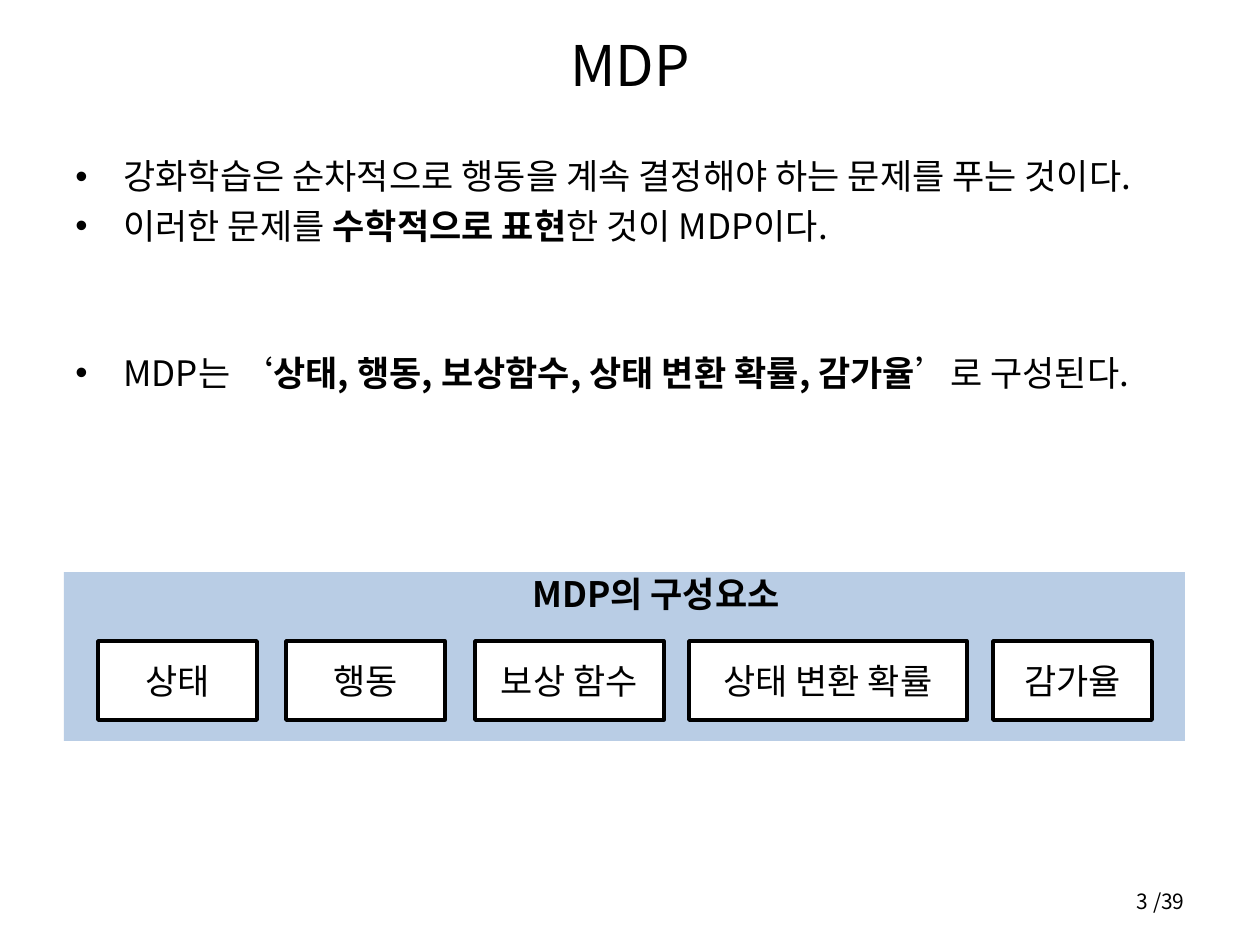
from pptx import Presentation
from pptx.dml.color import RGBColor
from pptx.enum.shapes import MSO_SHAPE
from pptx.enum.text import MSO_ANCHOR, PP_ALIGN
from pptx.oxml.ns import qn
from pptx.util import Emu, Pt
from lxml import etree

PX = 914400 / 126
FONT = "Noto Sans CJK KR"
BLACK = RGBColor(0x00, 0x00, 0x00)
WHITE = RGBColor(0xFF, 0xFF, 0xFF)
PALE_BLUE = RGBColor(0xB9, 0xCD, 0xE5)
RECTANGLE = MSO_SHAPE.RECTANGLE
TOP, MIDDLE = MSO_ANCHOR.TOP, MSO_ANCHOR.MIDDLE
LEFT, CENTER, RIGHT = PP_ALIGN.LEFT, PP_ALIGN.CENTER, PP_ALIGN.RIGHT

BODY_SIZE = 20
LINE_PITCH = 28
BULLET_INDENT = 48

# Each bullet: number of empty lines above it, then (text, bold) spans.
BULLETS = [
    (0, [("강화학습은 순차적으로 행동을 계속 결정해야 하는 문제를 푸는 것이다.", False)]),
    (0, [("이러한 문제를 ", False), ("수학적으로 표현", True), ("한 것이 MDP이다.", False)]),
    (2, [("MDP는 ‘", False),
         ("상태, 행동, 보상함수, 상태 변환 확률, 감가율", True),
         ("’로 구성된다.", False)]),
]

# Each component: label, left edge and width in px.
COMPONENTS = [
    ("상태", 98, 159),
    ("행동", 286, 159),
    ("보상 함수", 475, 189),
    ("상태 변환 확률", 689, 278),
    ("감가율", 993, 159),
]


def px(value):
    return Emu(round(value * PX))


class SlideBuilder:
    """Holds the text style and the slide being filled."""

    def __init__(self, slide):
        self.slide = slide
        self.font = FONT
        self.color = BLACK

    def add_span(self, para, text, size, bold=False):
        span = para.add_run()
        span.text = text
        span.font.size = Pt(size)
        span.font.bold = bold
        span.font.name = self.font
        span.font.color.rgb = self.color
        east_asian = etree.SubElement(span.font._element, qn("a:ea"))
        east_asian.set("typeface", self.font)

    def add_text_box(self, left, top, width, height, anchor=TOP):
        box = self.slide.shapes.add_textbox(px(left), px(top), px(width), px(height))
        box.text_frame.word_wrap = True
        box.text_frame.vertical_anchor = anchor
        return box.text_frame

    def add_line(self, bounds, text, size, align):
        """Add a text box with a single vertically centred line."""
        para = self.add_text_box(*bounds, anchor=MIDDLE).paragraphs[0]
        para.alignment = align
        self.add_span(para, text, size)

    def add_bullets(self, bounds, bullets):
        frame = self.add_text_box(*bounds)
        frame.margin_top = px(3)
        for index, (empty_lines, spans) in enumerate(bullets):
            para = frame.add_paragraph() if index else frame.paragraphs[0]
            para.alignment = LEFT
            para.line_spacing = Pt(LINE_PITCH)
            para.space_before = Pt(LINE_PITCH * empty_lines)
            properties = para._p.get_or_add_pPr()
            properties.set("marL", str(px(BULLET_INDENT)))
            properties.set("indent", str(-px(BULLET_INDENT)))
            etree.SubElement(properties, qn("a:buFont")).set("typeface", "Arial")
            etree.SubElement(properties, qn("a:buChar")).set("char", "•")
            for text, bold in spans:
                self.add_span(para, text, BODY_SIZE, bold)

    def add_rectangle(self, group, bounds, fill, text, anchor=MIDDLE, bold=False):
        box = group.shapes.add_shape(RECTANGLE, *map(px, bounds))
        box.shadow.inherit = False
        box.fill.solid()
        box.fill.fore_color.rgb = fill
        box.text_frame.word_wrap = True
        box.text_frame.vertical_anchor = anchor
        para = box.text_frame.paragraphs[0]
        para.alignment = CENTER
        self.add_span(para, text, BODY_SIZE, bold)
        return box

    def add_component_panel(self, bounds, heading, components):
        group = self.slide.shapes.add_group_shape()
        panel = self.add_rectangle(group, bounds, PALE_BLUE, heading, TOP, True)
        panel.line.fill.background()
        panel.text_frame.margin_top = 0
        para = panel.text_frame.paragraphs[0]
        para.level = 1
        para._p.get_or_add_pPr().set("marL", str(px(63)))
        for label, left, width in components:
            box = self.add_rectangle(group, (left, 641, width, 79), WHITE, label)
            box.line.color.rgb = BLACK
            box.line.width = Pt(2)


def main():
    deck = Presentation()
    deck.slide_width, deck.slide_height = px(1260), px(945)
    page = SlideBuilder(deck.slides.add_slide(deck.slide_layouts[6]))
    page.add_line((63, 16, 1134, 97), "MDP", 32, CENTER)
    page.add_bullets((63, 145, 1134, 699), BULLETS)
    page.add_component_panel((64, 572, 1121, 169), "MDP의 구성요소", COMPONENTS)
    page.add_line((903, 876, 294, 50), "3 /39", 12, RIGHT)
    deck.save("out.pptx")


if __name__ == "__main__":
    main()
